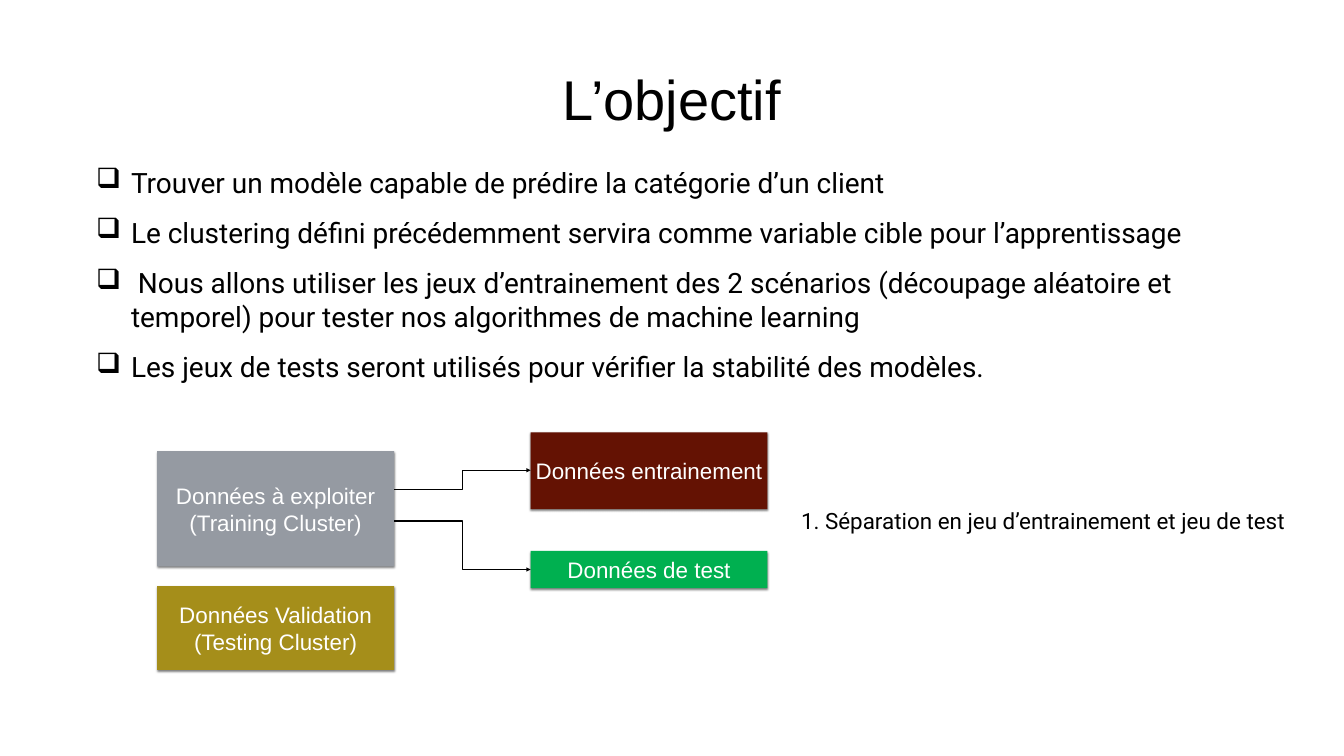
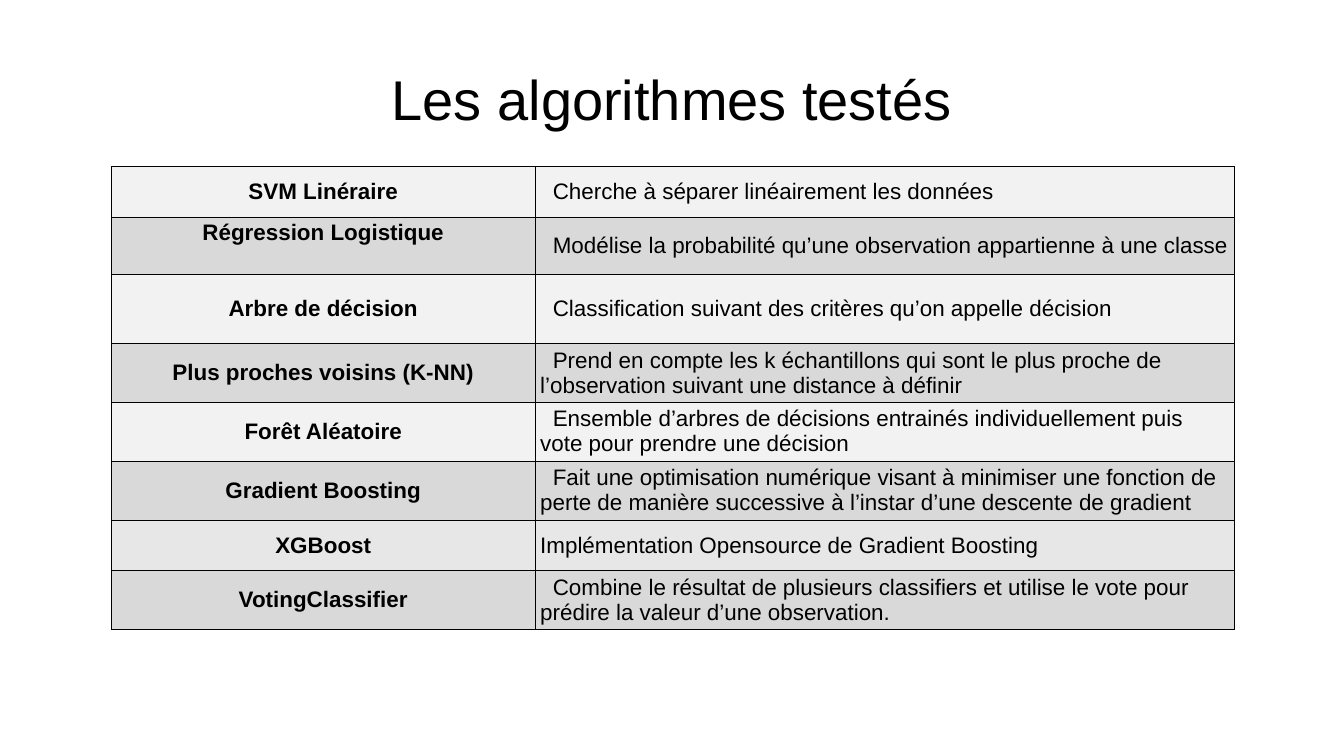
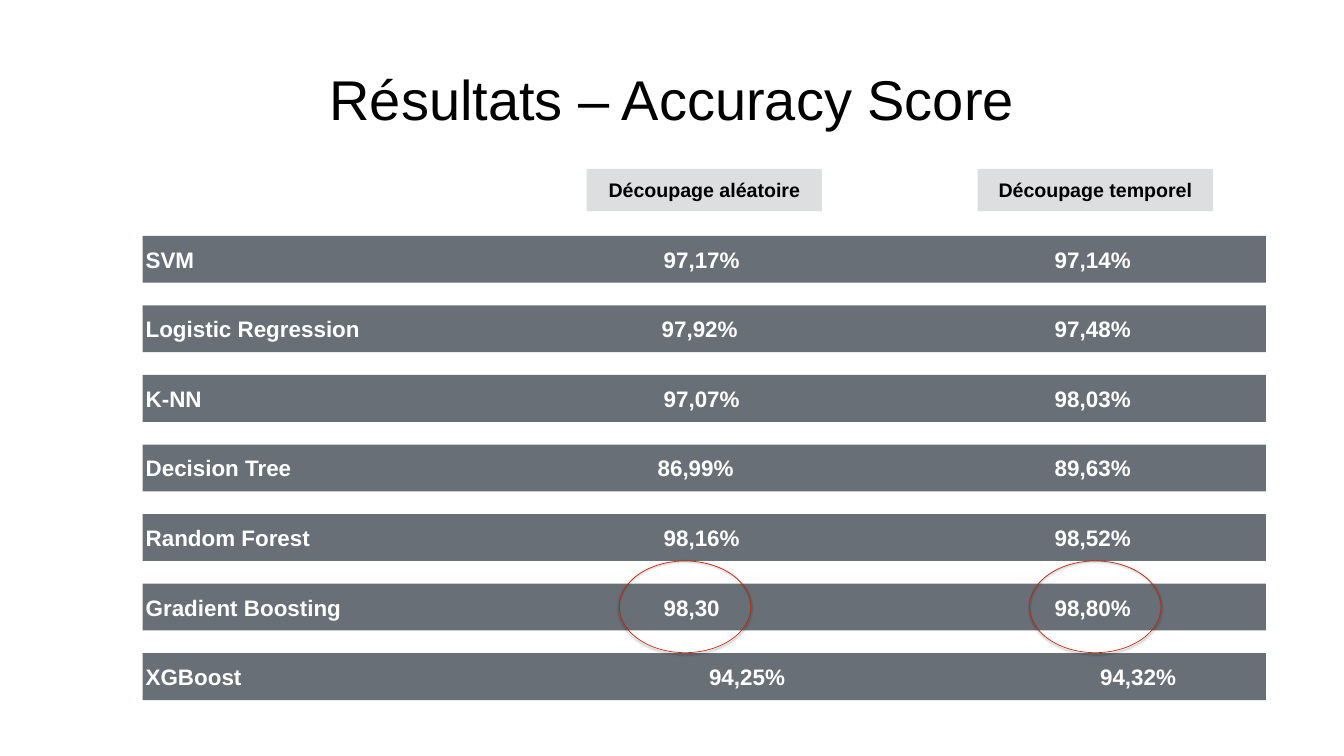
from lxml.etree import SubElement as Sub
from pptx import Presentation
from pptx.dml.color import RGBColor as Rgb
from pptx.enum.shapes import MSO_CONNECTOR as Conn, MSO_SHAPE as Form
from pptx.enum.text import MSO_ANCHOR as Anchor, PP_ALIGN as Align
from pptx.oxml.ns import qn
from pptx.util import Inches, Pt

COLORS = {
    "black": "000000", "white": "FFFFFF", "gray": "959AA2", "maroon": "641203",
    "green": "00B050", "gold": "A58E1A", "light": "F2F2F2", "mid": "D9D9D9",
    "soft": "E7E7E7", "slate": "686F76", "pale": "DCDEE0", "red": "C82506",
}
TITLE = {"size": Pt(80), "name": "Arial", "bold": False}
POINT = {"size": Pt(40), "name": "Roboto", "bold": False}
NOTE = {"size": Pt(32), "name": "Roboto", "bold": False}
BODY = {"size": Pt(32), "name": "Arial", "bold": False}
STRONG = {**BODY, "bold": True}
HEAD = {**STRONG, "size": Pt(28)}
INSET = Inches(0.06)
FRAME = {
    "word_wrap": True, "vertical_anchor": Anchor.MIDDLE,
    "margin_left": INSET, "margin_right": INSET,
    "margin_top": INSET, "margin_bottom": INSET,
}

POINTS = [
    "Trouver un modèle capable de prédire la catégorie d’un client",
    "Le clustering défini précédemment servira comme variable cible pour l’apprentissage",
    " Nous allons utiliser les jeux d’entrainement des 2 scénarios (découpage aléatoire et temporel) pour tester nos algorithmes de machine learning",
    "Les jeux de tests seront utilisés pour vérifier la stabilité des modèles.",
]
BOXES = [
    (3.12, 8.95, 2.29, "gray", ["Données à exploiter", "(Training Cluster)"]),
    (10.53, 8.58, 1.52, "maroon", ["Données entrainement"]),
    (10.53, 10.93, 0.74, "green", ["Données de test"]),
    (3.12, 11.63, 1.66, "gold", ["Données Validation", "(Testing Cluster)"]),
]
MODELS = [
    ("SVM Linéraire", "Cherche à séparer linéairement les données", "light"),
    ("Régression Logistique", "Modélise la probabilité qu’une observation appartienne à une classe", "mid"),
    ("Arbre de décision", "Classification suivant des critères qu’on appelle décision", "light"),
    ("Plus proches voisins (K-NN)", "Prend en compte les k échantillons qui sont le plus proche de l’observation suivant une distance à définir", "mid"),
    ("Forêt Aléatoire", "Ensemble d’arbres de décisions entrainés individuellement puis vote pour prendre une décision", "light"),
    ("Gradient Boosting", "Fait une optimisation numérique visant à minimiser une fonction de perte de manière successive à l’instar d’une descente de gradient", "mid"),
    ("XGBoost", "Implémentation Opensource de Gradient Boosting", "soft"),
    ("VotingClassifier", "Combine le résultat de plusieurs classifiers et utilise le vote pour prédire la valeur d’une observation.", "mid"),
]
SCORES = [
    ("SVM", "97,17%", "97,14%", 10.28, 18.04),
    ("Logistic Regression", "97,92%", "97,48%", 10.24, 18.04),
    ("K-NN", "97,07%", "98,03%", 10.28, 18.04),
    ("Decision Tree", "86,99%", "89,63%", 10.16, 18.04),
    ("Random Forest", "98,16%", "98,52%", 10.28, 18.04),
    ("Gradient Boosting", "98,30", "98,80%", 10.28, 18.04),
    ("XGBoost", "94,25%", "94,32%", 11.18, 18.94),
]


def color(name):
    return Rgb.from_string(COLORS[name])


def apply(target, values):
    for key, value in values.items():
        setattr(target, key, value)


def write(frame, lines, font, ink="black", align=Align.CENTER):
    for num, line in enumerate(lines):
        para = frame.paragraphs[0] if num == 0 else frame.add_paragraph()
        para.alignment = align
        run = para.add_run()
        run.text = line
        apply(run.font, font)
        run.font.color.rgb = color(ink)


def add_text(slide, area, lines, font, align=Align.CENTER):
    frame = slide.shapes.add_textbox(*map(Inches, area)).text_frame
    apply(frame, FRAME)
    write(frame, lines, font, align=align)
    return frame


def add_shade(shape):
    effect = shape.element.spPr.find(qn("a:effectLst"))
    shade = Sub(effect, qn("a:outerShdw"), blurRad=str(Pt(3)), dist=str(Pt(2)),
                dir="5400000", rotWithShape="0")
    tint = Sub(shade, qn("a:srgbClr"), val=COLORS["black"])
    Sub(tint, qn("a:alpha"), val="50000")


def add_box(slide, area, fill, lines, font, ink="white", align=Align.CENTER):
    box = slide.shapes.add_shape(Form.RECTANGLE, *map(Inches, area))
    box.shadow.inherit = False
    box.fill.solid()
    box.fill.fore_color.rgb = color(fill)
    box.line.fill.background()
    apply(box.text_frame, FRAME)
    write(box.text_frame, lines, font, ink, align)
    return box


def add_ring(slide, area):
    ring = slide.shapes.add_shape(Form.OVAL, *map(Inches, area))
    ring.shadow.inherit = False
    ring.fill.background()
    ring.line.color.rgb = color("red")
    ring.line.width = Pt(1)
    add_shade(ring)


def add_arrow(slide, ends):
    arrow = slide.shapes.add_connector(Conn.ELBOW, *map(Inches, ends))
    arrow.line.color.rgb = color("black")
    arrow.line.width = Pt(2)
    props = arrow.element.spPr
    Sub(props.find(qn("a:ln")), qn("a:tailEnd"), type="triangle")
    Sub(props, qn("a:effectLst"))


def add_points(slide, area, lines):
    frame = add_text(slide, area, lines, POINT, Align.LEFT)
    frame.margin_bottom = Inches(1.06)
    for para in frame.paragraphs:
        apply(para, {"space_before": Pt(12), "space_after": Pt(12)})
        props = para._p.get_or_add_pPr()
        props.set("marL", str(Inches(0.69)))
        props.set("indent", str(-Inches(0.69)))
        Sub(props, qn("a:buChar"), char="❑")


def add_edges(cell):
    props = cell._tc.get_or_add_tcPr()
    for num, side in enumerate(("lnL", "lnR", "lnT", "lnB")):
        edge = props.makeelement(qn("a:" + side), {"w": str(Pt(1))})
        props.insert(num, edge)
        Sub(Sub(edge, qn("a:solidFill")), qn("a:srgbClr"), val=COLORS["black"])


def fill_cell(cell, text, fill, font, align):
    cell.fill.solid()
    cell.fill.fore_color.rgb = color(fill)
    cell.vertical_anchor = Anchor.MIDDLE
    write(cell.text_frame, [text], font, align=align)
    add_edges(cell)


def add_models(slide):
    area = map(Inches, (2.21, 3.3, 22.29, 8.45))
    table = slide.shapes.add_table(len(MODELS), 2, *area).table
    apply(table, {"first_row": False, "horz_banding": False})
    for col, width in zip(table.columns, (8.41, 13.88)):
        col.width = Inches(width)
    for num, (name, text, fill) in enumerate(MODELS):
        table.rows[num].height = Inches(1.38 if num == 2 else 1.01)
        left, right = table.cell(num, 0), table.cell(num, 1)
        fill_cell(left, name, fill, STRONG, Align.CENTER)
        fill_cell(right, text, fill, BODY, Align.LEFT)
        para = right.text_frame.paragraphs[0]
        para.level = 1
        props = para._p.get_or_add_pPr()
        props.set("marL", "0")
        props.set("indent", str(Inches(0 if name == "XGBoost" else 0.25)))
    table.cell(1, 0).margin_bottom = Inches(0.54)


def add_score(slide, top, name, first, last, *stops):
    line = "\t".join((name, first, last))
    bar = add_box(slide, (2.83, top, 22.29, 0.93), "slate", [line], STRONG, align=Align.LEFT)
    props = bar.text_frame.paragraphs[0]._p.get_or_add_pPr()
    tabs = Sub(props, qn("a:tabLst"))
    for stop in stops:
        Sub(tabs, qn("a:tab"), pos=str(Inches(stop)), algn="l")


def new_slide(deck, title):
    slide = deck.slides.add_slide(deck.slide_layouts[6])
    slide.background.fill.solid()
    slide.background.fill.fore_color.rgb = color("white")
    add_text(slide, (1.85, 1.04, 22.97, 1.81), [title], TITLE)
    return slide


def goal_slide(deck):
    slide = new_slide(deck, "L’objectif")
    add_points(slide, (1.85, 2.85, 23.82, 6.18), POINTS)
    for left, top, height, fill, lines in BOXES:
        add_shade(add_box(slide, (left, top, 4.7, height), fill, lines, BODY))
    for start, end in ((10.34, 11.3), (9.71, 9.33)):
        add_arrow(slide, (7.82, start, 10.53, end))
    add_text(slide, (15.39, 10.01, 10.62, 0.65),
             ["1. Séparation en jeu d’entrainement et jeu de test"], NOTE)


def score_slide(deck):
    slide = new_slide(deck, "Résultats – Accuracy Score")
    for num, score in enumerate(SCORES):
        add_score(slide, 4.68 + 1.38 * num, *score)
    for left, text in ((11.64, "Découpage aléatoire"), (19.4, "Découpage temporel")):
        add_box(slide, (left, 3.35, 4.67, 0.84), "pale", [text], HEAD, "black")
    for left in (12.29, 20.43):
        add_ring(slide, (left, 11.13, 2.61, 1.82))


def main():
    deck = Presentation()
    apply(deck, {"slide_width": Inches(26.67), "slide_height": Inches(15)})
    goal_slide(deck)
    add_models(new_slide(deck, "Les algorithmes testés"))
    score_slide(deck)
    deck.save("out.pptx")


if __name__ == "__main__":
    main()
